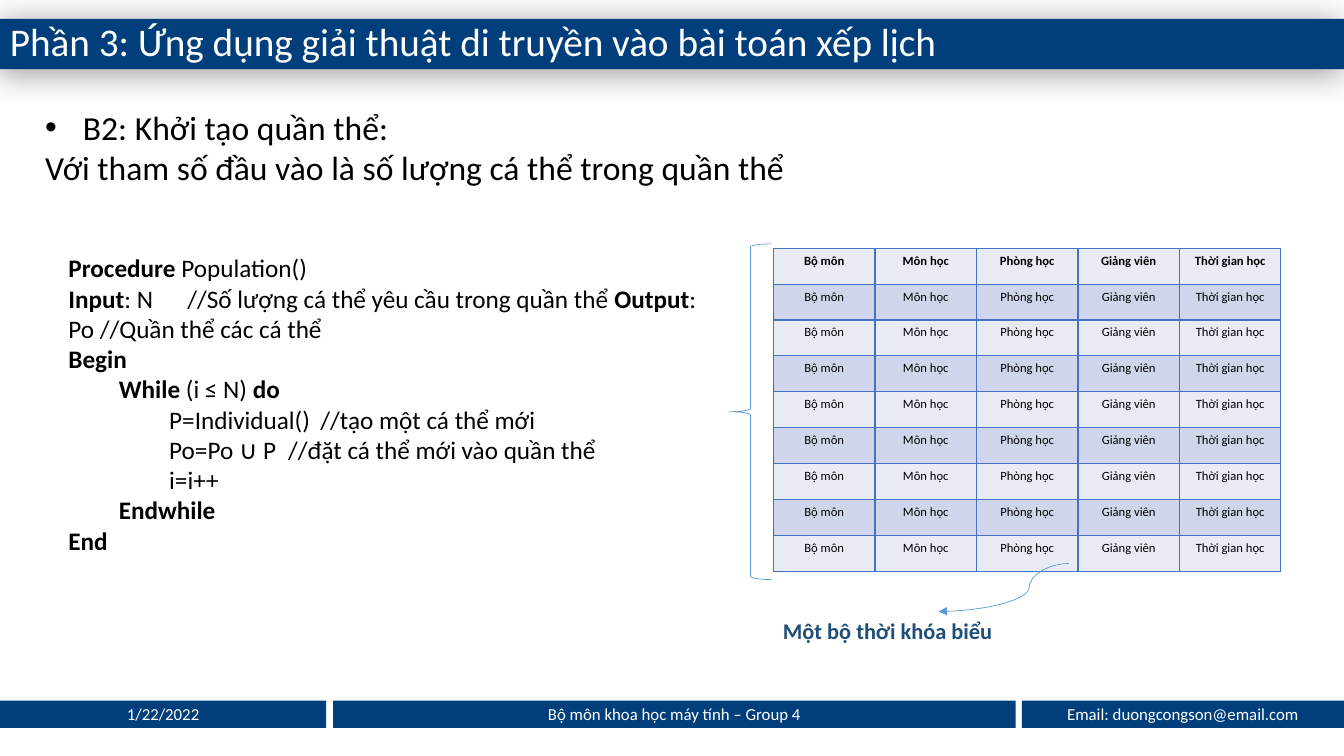
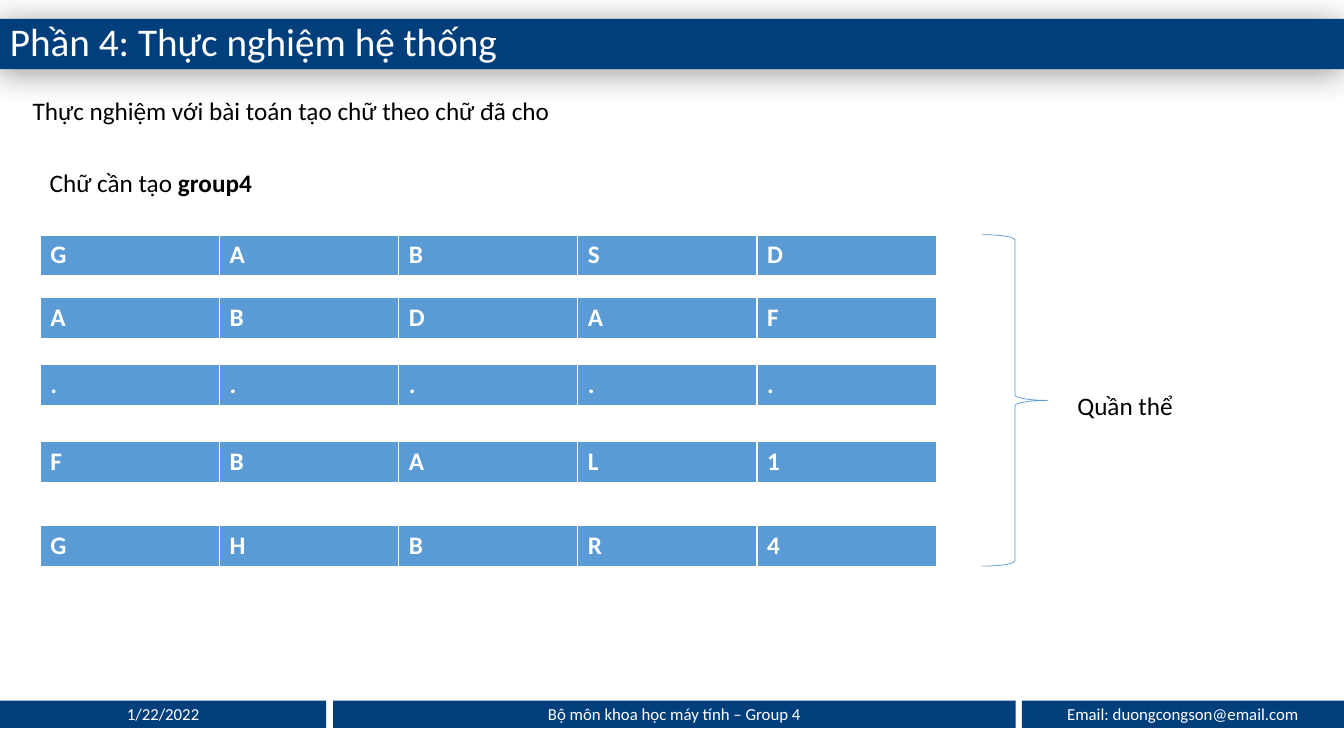
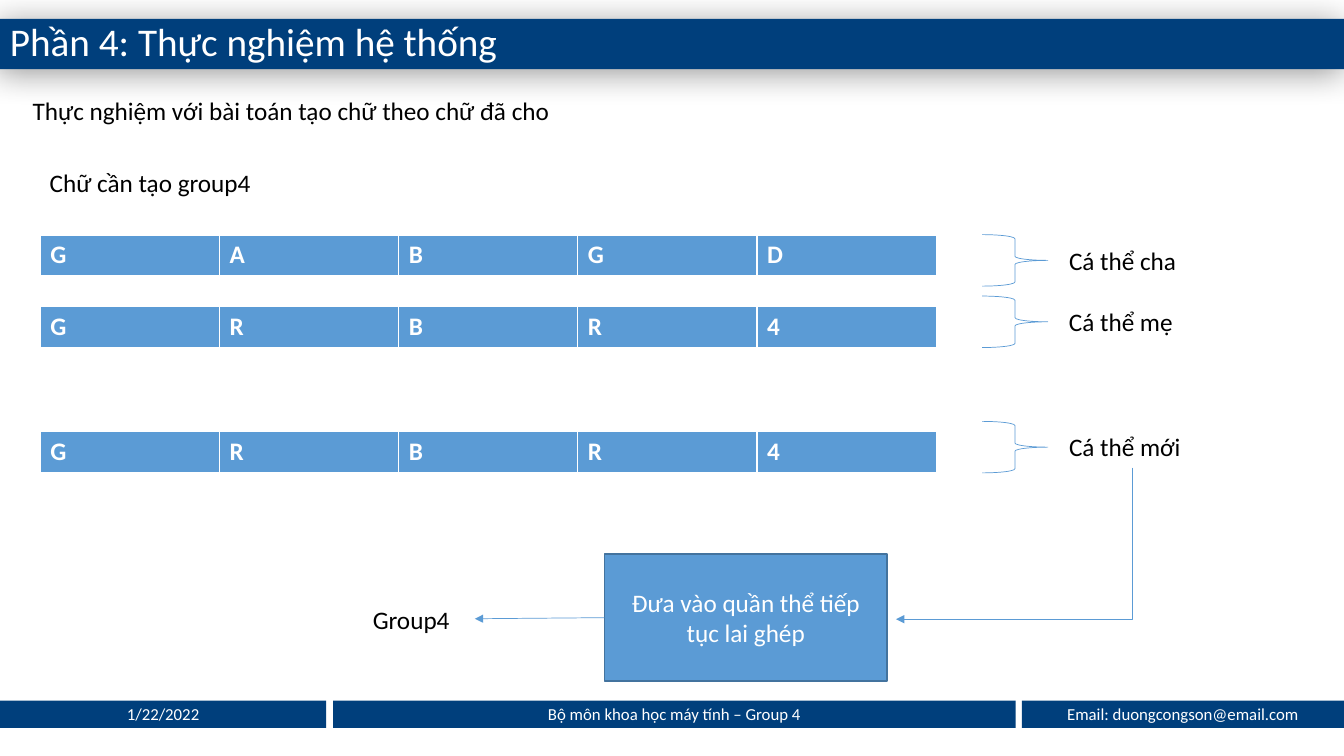
import pptx
import pptx.dml.color
import pptx.enum.shapes
import pptx.enum.text
import pptx.oxml
import pptx.oxml.ns
import pptx.util
from lxml import etree

Pt = pptx.util.Pt
SHAPES = pptx.enum.shapes.MSO_SHAPE
CONNECTORS = pptx.enum.shapes.MSO_CONNECTOR
ANCHOR = pptx.enum.text.MSO_ANCHOR
ALIGN = pptx.enum.text.PP_ALIGN
NAVY, BLUE, WHITE, BLACK = "003F7C", "5B9BD5", "FFFFFF", "000000"
GRID, CAPTION, BOX_EDGE = "4472C4", "1F4E79", "43739E"
STRIPES = ("E9EBF5", "CFD5EA")
FOOTER = (
    (0, 233, "1/22/2022"),
    (238, 487.5, "Bộ môn khoa học máy tính – Group 4"),
    (730, 230, "Email: duongcongson@email.com"),
)


def rgb(value):
    return pptx.dml.color.RGBColor.from_string(value)


def add_xml(parent, tag, **attributes):
    return etree.SubElement(parent, pptx.oxml.ns.qn(tag), attributes)


class Slides:
    """Holds the deck, the current page and the shared style."""

    font = "Calibri"

    def __init__(self):
        self.deck = pptx.Presentation()
        self.deck.slide_width, self.deck.slide_height = Pt(960), Pt(540)
        self.page = None

    def new_page(self, title):
        self.page = self.deck.slides.add_slide(self.deck.slide_layouts[6])
        band = self.rectangle(0, 13.5, 960, 36, title, NAVY, 28, ALIGN.LEFT)
        band.text_frame.paragraphs[0].line_spacing = 0.9
        effects = band._element.spPr.find(pptx.oxml.ns.qn("a:effectLst"))
        shadow = add_xml(effects, "a:outerShdw", blurRad=str(Pt(24)), dist=str(Pt(3)),
                         dir="8100000", algn="tr", rotWithShape="0")
        add_xml(add_xml(shadow, "a:srgbClr", val=BLACK), "a:alpha", val="40000")
        for left, width, text in FOOTER:
            self.rectangle(left, 500.4, width, 19.5, text, NAVY, 12)

    def fill_para(self, para, text, size, color, bold=False):
        """Put text into a paragraph; parts between asterisks are bold."""
        para.text = ""
        for index, part in enumerate(text.split("*")):
            if part:
                span = para.add_run()
                span.text = part
                span.font.name = self.font
                span.font.size = Pt(size)
                span.font.bold = bold or index % 2 == 1
                span.font.color.rgb = rgb(color)

    def rectangle(self, left, top, width, height, text, fill, size, align=ALIGN.CENTER, edge=None):
        box = self.page.shapes.add_shape(SHAPES.RECTANGLE, Pt(left), Pt(top), Pt(width), Pt(height))
        box.shadow.inherit = False
        box.fill.solid()
        box.fill.fore_color.rgb = rgb(fill)
        if edge:
            box.line.color.rgb = rgb(edge)
            box.line.width = Pt(1)
        else:
            box.line.fill.background()
        box.text_frame.word_wrap = True
        box.text_frame.vertical_anchor = ANCHOR.MIDDLE
        para = box.text_frame.paragraphs[0]
        para.alignment = align
        self.fill_para(para, text, size, WHITE)
        return box

    def text(self, left, top, width, height, lines, size=18, color=BLACK, bold=False, wrap=False):
        """Add a text box; each line is a pair of indent level and text."""
        box = self.page.shapes.add_textbox(Pt(left), Pt(top), Pt(width), Pt(height))
        frame = box.text_frame
        frame.word_wrap = wrap
        frame.auto_size = pptx.enum.text.MSO_AUTO_SIZE.SHAPE_TO_FIT_TEXT
        for index, (level, text) in enumerate(lines):
            para = frame.add_paragraph() if index else frame.paragraphs[0]
            self.fill_para(para, text, size, color, bold)
            if level:
                para.level = level
                para._p.get_or_add_pPr().set("marL", str(Pt(36 * level)))
        return box

    def label(self, left, top, width, text, **style):
        return self.text(left, top, width, 28.8, [(0, text)], **style)

    def table(self, left, top, column, row, rows, fills, border, size, color, align, bold_rows=1):
        grid = self.page.shapes.add_table(
            len(rows), len(rows[0]), Pt(left), Pt(top),
            Pt(column * len(rows[0])), Pt(row * len(rows))).table
        grid.first_row = grid.horz_banding = False
        for grid_column in grid.columns:
            grid_column.width = Pt(column)
        for number, words in enumerate(rows):
            grid.rows[number].height = Pt(row)
            for cell, word in zip(grid.rows[number].cells, words):
                properties = cell._tc.get_or_add_tcPr()
                for side in "LRTB":
                    line = add_xml(properties, "a:ln" + side, w=str(Pt(1)))
                    add_xml(add_xml(line, "a:solidFill"), "a:srgbClr", val=border)
                cell.fill.solid()
                cell.fill.fore_color.rgb = rgb(fills[number % len(fills)])
                para = cell.text_frame.paragraphs[0]
                para.alignment = align
                self.fill_para(para, word, size, color, number < bold_rows)

    def letters(self, top, word):
        self.table(28.8, top, 128, 29.2, [list(word)], [BLUE], WHITE, 18, WHITE, ALIGN.LEFT)

    def brace(self, kind, left, top, width, height, middle=0.5):
        brace = self.page.shapes.add_shape(kind, Pt(left), Pt(top), Pt(width), Pt(height))
        brace.shadow.inherit = False
        brace.fill.background()
        brace.line.color.rgb = rgb(BLUE)
        brace.line.width = Pt(0.5)
        brace.adjustments[0], brace.adjustments[1] = 0.08, middle

    def right_brace(self, top, height):
        self.brace(SHAPES.RIGHT_BRACE, 701.5, top, 47, height)

    def arrow(self, kind, start, end):
        arrow = self.page.shapes.add_connector(kind, *(Pt(value) for value in start + end))
        arrow.line.color.rgb = rgb(BLUE)
        arrow.line.width = Pt(0.5)
        add_xml(arrow.line._get_or_add_ln(), "a:tailEnd", type="triangle")
        add_xml(arrow._element.spPr, "a:effectLst")
        return arrow

    def curved_arrow(self, start, end, bend):
        """Bend is the share of the width, in thousandths of a percent, before the turn."""
        arrow = self.arrow(CONNECTORS.CURVE, start, end)
        guides = arrow._element.spPr.prstGeom.get_or_add_avLst()
        add_xml(guides, "a:gd", name="adj1", fmla=f"val {bend}")

    def corner_arrow(self, start, end):
        """Go down from the start, then left to the end: a quarter-turned elbow."""
        center_x, center_y = (start[0] + end[0]) / 2, (start[1] + end[1]) / 2
        half_down, half_left = (end[1] - start[1]) / 2, (start[0] - end[0]) / 2
        arrow = self.arrow(CONNECTORS.ELBOW, (center_x - half_down, center_y - half_left),
                           (center_x + half_down, center_y + half_left))
        properties = arrow._element.spPr
        properties.xfrm.set("rot", "5400000")
        properties.prstGeom.set("prst", "bentConnector2")


def population_page(slides):
    slides.new_page("Phần 3: Ứng dụng giải thuật di truyền vào bài toán xếp lịch")
    intro = slides.text(25.2, 72.7, 909, 65.5, [
        (0, "B2: Khởi tạo quần thể:"),
        (0, "Với tham số đầu vào là số lượng cá thể trong quần thể"),
    ], size=24, wrap=True)
    bullet = intro.text_frame.paragraphs[0]._p.get_or_add_pPr()
    bullet.set("marL", str(Pt(27)))
    bullet.set("indent", str(Pt(-27)))
    add_xml(bullet, "a:buFont", typeface="Arial")
    add_xml(bullet, "a:buChar", char="•")

    code = slides.text(41.8, 177, 479.5, 225.4, [
        (0, "*Procedure* Population()"),
        (0, "*Input*: N\t//Số lượng cá thể yêu cầu trong quần thể *Output*: Po //Quần thể các cá thể"),
        (0, "*Begin*"),
        (1, "*While* (i ≤ N) *do*"),
        (2, "P=Individual()\t//tạo một cá thể mới"),
        (2, "Po=Po ∪ P\t//đặt cá thể mới vào quần thể"),
        (2, "i=i++"),
        (1, "*Endwhile*"),
        (0, "*End*"),
    ], wrap=True)
    stops = add_xml(code.text_frame.paragraphs[1]._p.get_or_add_pPr(), "a:tabLst")
    add_xml(stops, "a:tab", pos=str(Pt(85)), algn="l")

    fields = ["Bộ môn", "Môn học", "Phòng học", "Giảng viên", "Thời gian học"]
    slides.table(552.5, 177.3, 72.5, 25.65, [fields] * 9, STRIPES, GRID, 9, BLACK, ALIGN.CENTER)
    slides.brace(SHAPES.LEFT_BRACE, 521.3, 174.2, 29.5, 239.8)
    slides.curved_arrow((763.5, 402.5), (670.5, 436.7), 30600)
    slides.label(552.2, 437, 183.6, "Một bộ thời khóa biểu", size=16, color=CAPTION, bold=True)


def experiment_page(slides, target, width):
    slides.new_page("Phần 4: Thực nghiệm hệ thống")
    slides.label(16.2, 64.8, 424, "Thực nghiệm với bài toán tạo chữ theo chữ đã cho")
    slides.label(28.4, 116, width, "Chữ cần tạo " + target)


def initial_words_page(slides):
    experiment_page(slides, "*group4*", 181.4)
    words = ("GABSD", "ABDAF", ".....", "FBAL1", "GHBR4")
    for top, word in zip((167.8, 212.6, 260.6, 315.5, 375.3), words):
        slides.letters(top, word)
    slides.right_brace(167.6, 236.8)
    slides.label(762.5, 275, 89.3, "Quần thể")


def crossover_page(slides):
    experiment_page(slides, "group4", 176.4)
    for word_top, brace_top, word, role, width in (
        (167.8, 167.6, "GABGD", "Cá thể cha", 102.2),
        (219, 211.5, "GRBR4", "Cá thể mẹ", 98.6),
        (308.2, 301, "GRBR4", "Cá thể mới", 104.4),
    ):
        slides.letters(word_top, word)
        slides.right_brace(brace_top, 36.8)
        slides.label(756.5, brace_top + 3.8, width, role)
    slides.corner_arrow((808.6, 334), (640, 442.3))
    crossing = slides.rectangle(431.8, 395.8, 201.8, 90.8, "Đưa vào quần thể tiếp tục lai ghép",
                                BLUE, 18, edge=BOX_EDGE)
    result = slides.arrow(CONNECTORS.STRAIGHT, (431.8, 441.2), (339.2, 442))
    result.begin_connect(crossing, 1)
    slides.label(259.2, 428.4, 74.9, "Group4")


def main():
    slides = Slides()
    population_page(slides)
    initial_words_page(slides)
    crossover_page(slides)
    slides.deck.save("out.pptx")


if __name__ == "__main__":
    main()
